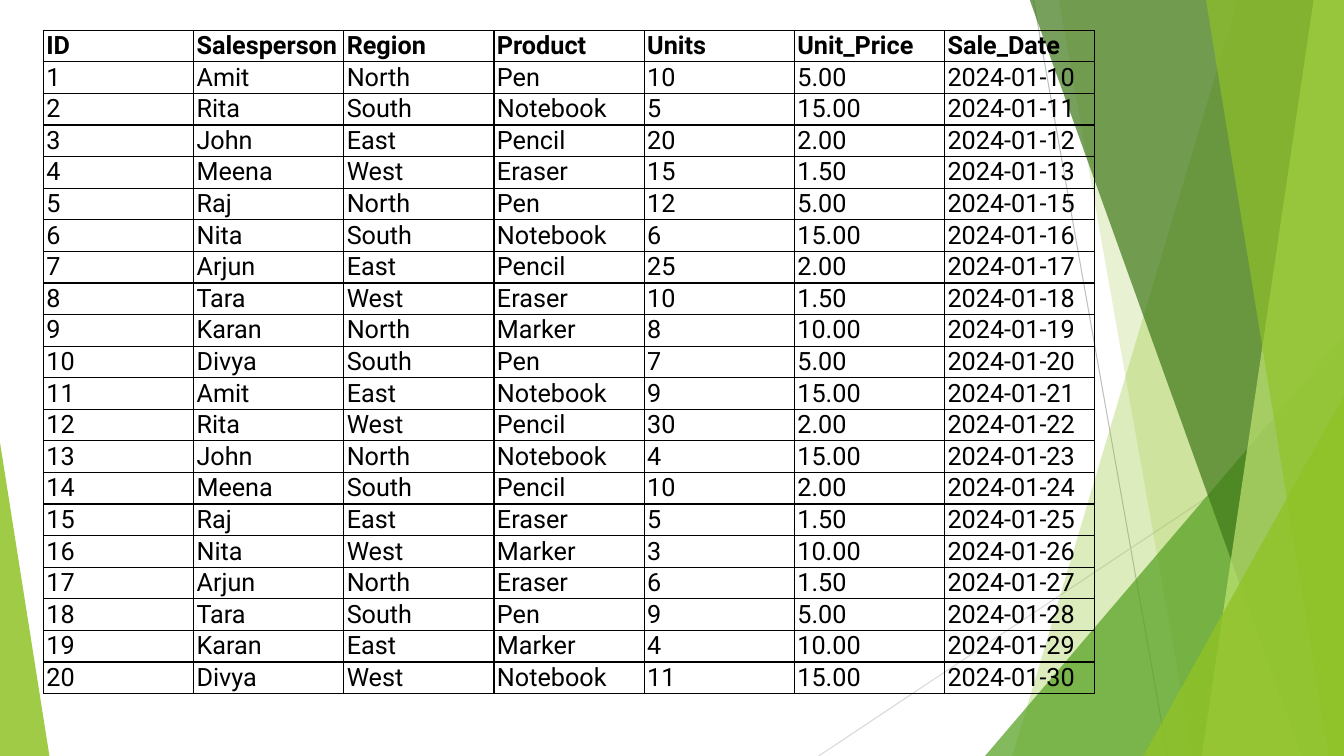
from lxml import etree
from pptx import Presentation, util as u
from pptx.dml.color import RGBColor
from pptx.enum import shapes, text
from pptx.oxml import ns

HEADINGS = ("ID", "Salesperson", "Region", "Product", "Units", "Unit_Price", "Sale_Date")
SALES = [
    ("1", "Amit", "North", "Pen", "10", "5.00", "2024-01-10"),
    ("2", "Rita", "South", "Notebook", "5", "15.00", "2024-01-11"),
    ("3", "John", "East", "Pencil", "20", "2.00", "2024-01-12"),
    ("4", "Meena", "West", "Eraser", "15", "1.50", "2024-01-13"),
    ("5", "Raj", "North", "Pen", "12", "5.00", "2024-01-15"),
    ("6", "Nita", "South", "Notebook", "6", "15.00", "2024-01-16"),
    ("7", "Arjun", "East", "Pencil", "25", "2.00", "2024-01-17"),
    ("8", "Tara", "West", "Eraser", "10", "1.50", "2024-01-18"),
    ("9", "Karan", "North", "Marker", "8", "10.00", "2024-01-19"),
    ("10", "Divya", "South", "Pen", "7", "5.00", "2024-01-20"),
    ("11", "Amit", "East", "Notebook", "9", "15.00", "2024-01-21"),
    ("12", "Rita", "West", "Pencil", "30", "2.00", "2024-01-22"),
    ("13", "John", "North", "Notebook", "4", "15.00", "2024-01-23"),
    ("14", "Meena", "South", "Pencil", "10", "2.00", "2024-01-24"),
    ("15", "Raj", "East", "Eraser", "5", "1.50", "2024-01-25"),
    ("16", "Nita", "West", "Marker", "3", "10.00", "2024-01-26"),
    ("17", "Arjun", "North", "Eraser", "6", "1.50", "2024-01-27"),
    ("18", "Tara", "South", "Pen", "9", "5.00", "2024-01-28"),
    ("19", "Karan", "East", "Marker", "4", "10.00", "2024-01-29"),
    ("20", "Divya", "West", "Notebook", "11", "15.00", "2024-01-30"),
]
COLOURS = {
    "black": "000000", "silver": "BFBFBF", "mist": "D9D9D9", "lime": "90C226",
    "leaf": "54A021", "forest": "3F7819", "pale": "C0E474",
}
PX = 9144
WIDTH, HEIGHT = 1333, 750
TABLE_LEFT, TABLE_TOP, TABLE_HEIGHT = 43, 30, 691
COLUMN_WIDTH, ROW_HEIGHT = 149, 30

RAYS = [((1025, 0), (1158, HEIGHT), "silver"), ((WIDTH, 403), (812, HEIGHT), "mist")]
FACETS = [
    ("band", (1228, 1004), "lime", 30),
    ("band", (1050, 1183), "lime", 20),
    ("triangle", (977, 333, 356, 417, 1), "leaf", 72),
    ("band", (1021, 1291), "forest", 70),
    ("band", (1303, 1192), "pale", 70),
    ("band", (1196, 1318), "lime", 65),
    ("triangle", (1134, 393, 199, 357, 1), "lime", 80),
    ("triangle", (0, 439, 49, 311, 0), "lime", 85),
]
CELL_FORMAT = {
    "margin_left": 3 * PX, "margin_right": 3 * PX,
    "margin_top": PX, "margin_bottom": PX,
    "vertical_anchor": text.MSO_ANCHOR.MIDDLE,
}
FONT_FORMAT = {"name": "Roboto", "size": u.Pt(18)}


def apply(target, values):
    for key, value in values.items():
        setattr(target, key, value)


def rgb(name):
    return RGBColor.from_string(COLOURS[name])


def draw_ray(slide, start, end, colour):
    ray = slide.shapes.add_connector(
        shapes.MSO_CONNECTOR.STRAIGHT, *(v * PX for v in start + end))
    ray.line.color.rgb = rgb(colour)
    ray.line.width = u.Pt(0.75)
    etree.SubElement(ray.element.spPr, ns.qn("a:effectLst"))


def draw_facet(slide, kind, geometry, colour, opacity):
    if kind == "band":
        top_left, bottom_left = geometry
        outline = slide.shapes.build_freeform(top_left, -1, scale=PX)
        outline.add_line_segments([(WIDTH, -1), (WIDTH, HEIGHT), (bottom_left, HEIGHT)], close=True)
        facet = outline.convert_to_shape()
    else:
        *box, apex = geometry
        facet = slide.shapes.add_shape(
            shapes.MSO_SHAPE.ISOSCELES_TRIANGLE, *(v * PX for v in box))
        facet.adjustments[0] = apex
    facet.shadow.inherit = False
    facet.line.fill.background()
    facet.fill.solid()
    facet.fill.fore_color.rgb = rgb(colour)
    tint = facet.element.spPr.find(ns.qn("a:solidFill"))[0]
    etree.SubElement(tint, ns.qn("a:alpha"), val=str(opacity * 1000))


def border_cell(cell):
    properties = cell._tc.get_or_add_tcPr()
    for position, side in enumerate(("lnL", "lnR", "lnT", "lnB")):
        edge = etree.Element(ns.qn(f"a:{side}"), w=str(u.Pt(1)))
        ink = etree.SubElement(edge, ns.qn("a:solidFill"))
        etree.SubElement(ink, ns.qn("a:srgbClr"), val=COLOURS["black"])
        properties.insert(position, edge)


def draw_sales(slide):
    records = [HEADINGS, *SALES]
    frame = slide.shapes.add_table(
        len(records), len(HEADINGS), TABLE_LEFT * PX, TABLE_TOP * PX,
        COLUMN_WIDTH * len(HEADINGS) * PX, TABLE_HEIGHT * PX)
    sales = frame.table
    apply(sales, {"first_row": False, "horz_banding": False})
    for row, record in enumerate(records):
        sales.rows[row].height = ROW_HEIGHT * PX
        for column, value in enumerate(record):
            cell = sales.cell(row, column)
            cell.text = value
            apply(cell, CELL_FORMAT)
            cell.fill.background()
            border_cell(cell)
            font = cell.text_frame.paragraphs[0].runs[0].font
            apply(font, {**FONT_FORMAT, "bold": row == 0})
            font.color.rgb = rgb("black")
    frame.height = TABLE_HEIGHT * PX


def main():
    deck = Presentation()
    apply(deck, {"slide_width": WIDTH * PX, "slide_height": HEIGHT * PX})
    slide = deck.slides.add_slide(deck.slide_layouts[6])
    for ray in RAYS:
        draw_ray(slide, *ray)
    for facet in FACETS:
        draw_facet(slide, *facet)
    draw_sales(slide)
    deck.save("out.pptx")


if __name__ == "__main__":
    main()
